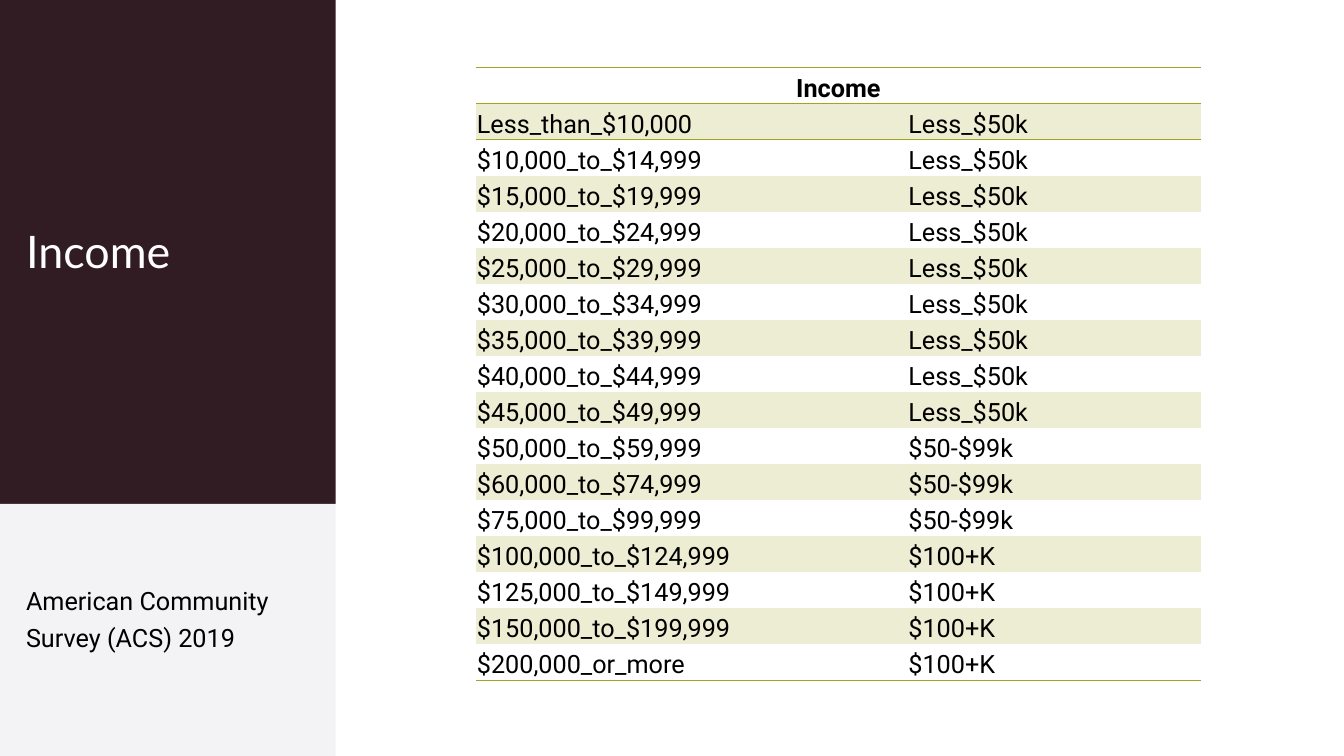
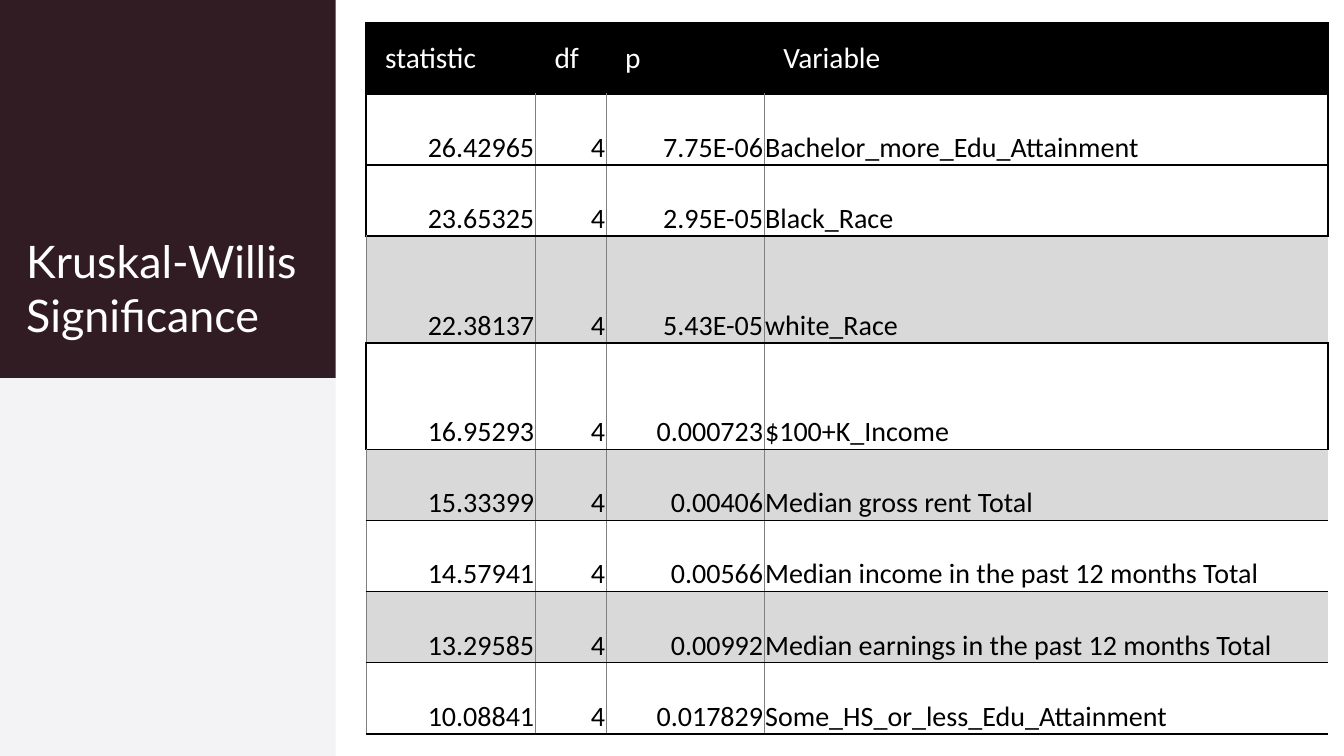
from lxml import etree
from pptx import Presentation
from pptx import util as u
from pptx.dml.color import RGBColor
from pptx.enum import shapes, text
from pptx.oxml import ns

HUES = {
    "plum": "311C23", "mist": "F3F3F5", "white": "FFFFFF", "black": "000000",
    "olive": "A1A622", "cream": "ECEDD3", "grey": "808080", "pale": "D9D9D9",
}
BARE = "{2D5ABB26-0587-4C30-8999-92F81FD0307C}"
LEFT, MID, RIGHT = text.PP_ALIGN.LEFT, text.PP_ALIGN.CENTER, text.PP_ALIGN.RIGHT
LOW, EVEN = text.MSO_ANCHOR.BOTTOM, text.MSO_ANCHOR.MIDDLE
TIGHT = (0.01, 0.01, 0.01, 0)
ROOMY = (0.19, 0.15, 0.01, 0.15)
SIDES = ("left", "top", "right", "bottom")
THICK, THIN, RULE = ("black", 1.5), ("grey", 0.5), ("olive", 1)


def hue(name):
    return RGBColor.from_string(HUES[name])


def apply(item, vals):
    for key, val in vals.items():
        setattr(item, key, val)


class Deck:
    side = 3.33
    head = {"name": "Lato", "size": u.Pt(32), "bold": False}
    note = {"name": "Roboto", "size": u.Pt(18), "bold": False}
    data = {"name": "Calibri", "size": u.Pt(20), "bold": False}

    def __init__(self):
        self.prs = Presentation()
        apply(self.prs, {"slide_width": u.Inches(13.33), "slide_height": u.Inches(7.5)})
        self.slide = None

    def place(self, item, box):
        apply(item, dict(zip(("left", "top", "width", "height"), map(u.Inches, box))))

    def words(self, frame, line, font, ink, align=LEFT, space=1.0):
        frame.text = line
        para = frame.paragraphs[0]
        apply(para, {"alignment": align, "line_spacing": space})
        apply(para.font, font)
        para.font.color.rgb = hue(ink)

    def band(self, top, high, tone):
        box = map(u.Inches, (0, top, self.side, high))
        shape = self.slide.shapes.add_shape(shapes.MSO_SHAPE.RECTANGLE, *box)
        shape.shadow.inherit = False
        shape.fill.solid()
        shape.fill.fore_color.rgb = hue(tone)
        shape.line.fill.background()

    def start(self, title, split, box, anchor):
        self.slide = self.prs.slides.add_slide(self.prs.slide_layouts[5])
        self.band(0, split, "plum")
        self.band(split, 7.5 - split, "mist")
        item = self.slide.shapes.title
        self.slide.shapes._spTree.append(item._element)
        self.place(item, box)
        apply(item.text_frame, {"word_wrap": True, "vertical_anchor": anchor,
                                "auto_size": text.MSO_AUTO_SIZE.NONE})
        self.words(item.text_frame, title, self.head, "white")

    def label(self, line, box):
        frame = self.slide.shapes.add_textbox(*map(u.Inches, box)).text_frame
        apply(frame, {"word_wrap": True, "vertical_anchor": EVEN})
        self.words(frame, line, self.note, "black", space=1.2)

    def table(self, rows, left, top, wide, high):
        size = map(u.Inches, (left, top, sum(wide), sum(high)))
        grid = self.slide.shapes.add_table(len(rows), len(wide), *size).table
        apply(grid, {"first_row": False, "horz_banding": False})
        grid._tbl.tblPr.find(ns.qn("a:tableStyleId")).text = BARE
        for col, width in zip(grid.columns, wide):
            col.width = u.Inches(width)
        for row, height in zip(grid.rows, high):
            row.height = u.Inches(height)
        return grid

    def edge(self, cell, edges):
        props = cell._tc.get_or_add_tcPr()
        for side in ("left", "right", "top", "bottom"):
            if edges.get(side):
                tone, size = edges[side]
                line = etree.SubElement(props, ns.qn("a:ln" + side[0].upper()),
                                        w=str(u.Pt(size)))
                fill = etree.SubElement(line, ns.qn("a:solidFill"))
                etree.SubElement(fill, ns.qn("a:srgbClr"), val=HUES[tone])

    def cell(self, cell, line, font, ink="black", align=LEFT, anchor=LOW,
             pad=TIGHT, tone=None, edges=None):
        apply(cell, {"margin_" + s: u.Inches(p) for s, p in zip(SIDES, pad)})
        cell.vertical_anchor = anchor
        self.words(cell.text_frame, line, font, ink, align)
        self.edge(cell, edges or {})
        if tone:
            cell.fill.solid()
            cell.fill.fore_color.rgb = hue(tone)
        else:
            cell.fill.background()


def income(deck):
    deck.start("Income", 5, (0.16, 0.43, 2.87, 4.11), EVEN)
    deck.label("American Community Survey (ACS) 2019", (0.16, 5.3, 2.79, 1.62))
    groups = {
        "Less_$50k": ["Less_than_$10,000", "$10,000_to_$14,999", "$15,000_to_$19,999",
                      "$20,000_to_$24,999", "$25,000_to_$29,999", "$30,000_to_$34,999",
                      "$35,000_to_$39,999", "$40,000_to_$44,999", "$45,000_to_$49,999"],
        "$50-$99k": ["$50,000_to_$59,999", "$60,000_to_$74,999", "$75,000_to_$99,999"],
        "$100+K": ["$100,000_to_$124,999", "$125,000_to_$149,999",
                   "$150,000_to_$199,999", "$200,000_or_more"],
    }
    rows = [("Income", "")]
    rows += [(span, group) for group, spans in groups.items() for span in spans]
    last = len(rows) - 1
    grid = deck.table(rows, 4.72, 0.67, (4.28, 2.91), [6.08 / len(rows)] * len(rows))
    for r, row in enumerate(rows):
        edges = {"top": RULE if r < 2 else None, "bottom": RULE if r in (0, last) else None}
        for c, line in enumerate(row):
            deck.cell(grid.cell(r, c), line, {**deck.note, "bold": r == 0},
                      align=LEFT if r else MID, tone="cream" if r % 2 else None,
                      edges=edges)
    grid.cell(0, 0).merge(grid.cell(0, 1))


def ranks(deck):
    deck.start("Kruskal-Willis Significance", 3.75, (0.16, 0.4, 2.94, 3.04), LOW)
    rows = [
        ("statistic", "df", "p", "Variable"),
        ("26.42965", "4", "7.75E-06", "Bachelor_more_Edu_Attainment"),
        ("23.65325", "4", "2.95E-05", "Black_Race"),
        ("22.38137", "4", "5.43E-05", "white_Race"),
        ("16.95293", "4", "0.000723", "$100+K_Income"),
        ("15.33399", "4", "0.00406", "Median gross rent Total"),
        ("14.57941", "4", "0.00566", "Median income in the past 12 months Total"),
        ("13.29585", "4", "0.00992", "Median earnings in the past 12 months Total"),
        ("10.08841", "4", "0.017829", "Some_HS_or_less_Edu_Attainment"),
    ]
    tall, boxed, shaded = (3, 4), (0, 1, 2, 4), (3, 5, 7)
    unit = 7.05 / (len(rows) + len(tall) / 2)
    high = [unit * (1.5 if r in tall else 1) for r in range(len(rows))]
    grid = deck.table(rows, 3.63, 0.23, (1.68, 0.7, 1.57, 5.59), high)
    for r, row in enumerate(rows):
        for c, line in enumerate(row):
            inner = THIN if r else THICK
            edges = {
                "left": THICK if c == 0 and r in boxed else inner,
                "right": inner if c < 3 else THICK if r in boxed else None,
                "top": None if r == 4 else THICK,
                "bottom": None if r == 3 else THICK,
            }
            if r == 0:
                look = {"font": {**deck.data, "size": u.Pt(21)}, "ink": "white",
                        "anchor": EVEN, "pad": ROOMY, "tone": "black"}
            else:
                look = {"font": deck.data, "align": RIGHT if c < 3 else LEFT,
                        "tone": "pale" if r in shaded else "white"}
            deck.cell(grid.cell(r, c), line, edges=edges, **look)


def main():
    deck = Deck()
    income(deck)
    ranks(deck)
    deck.prs.save("out.pptx")


if __name__ == "__main__":
    main()
